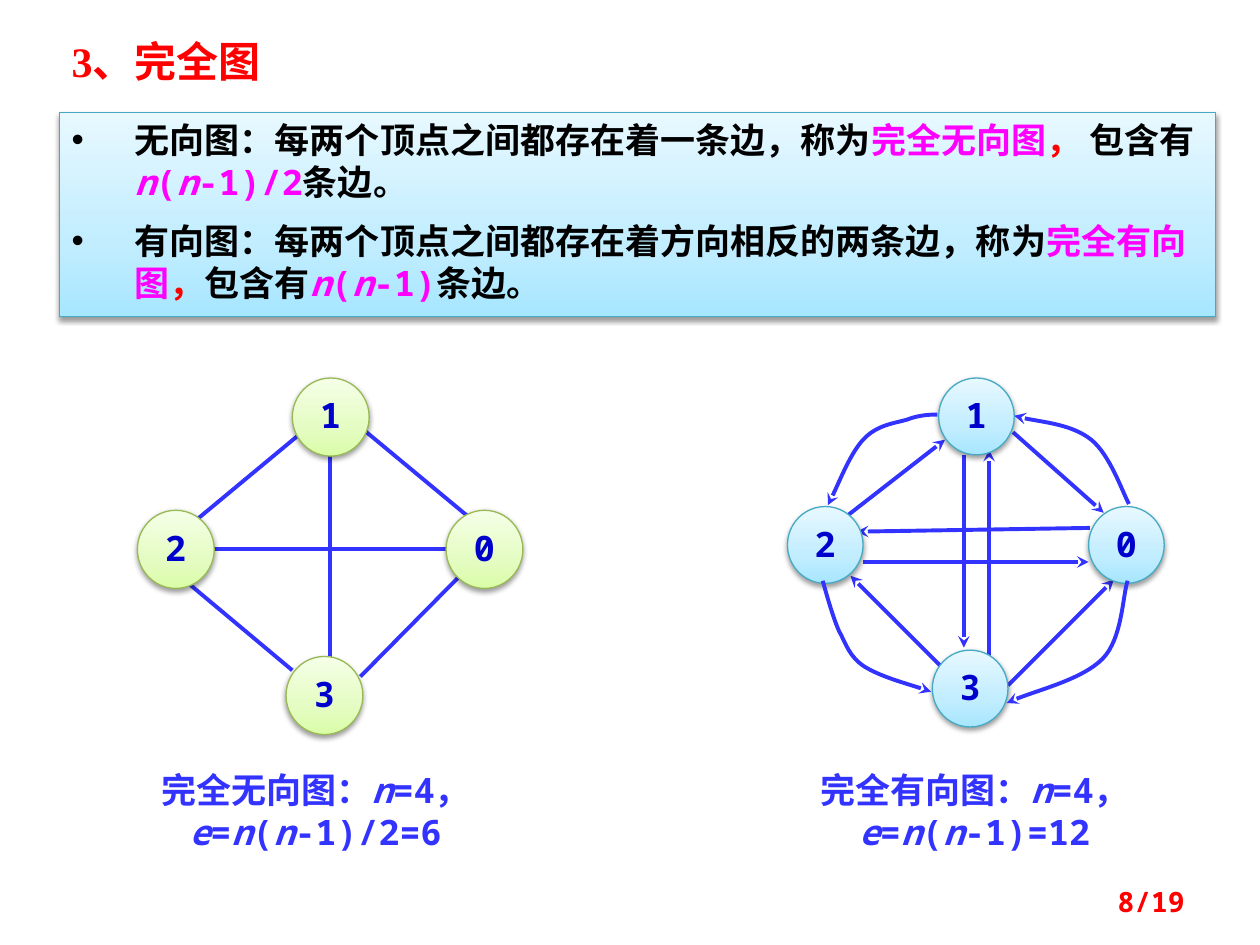
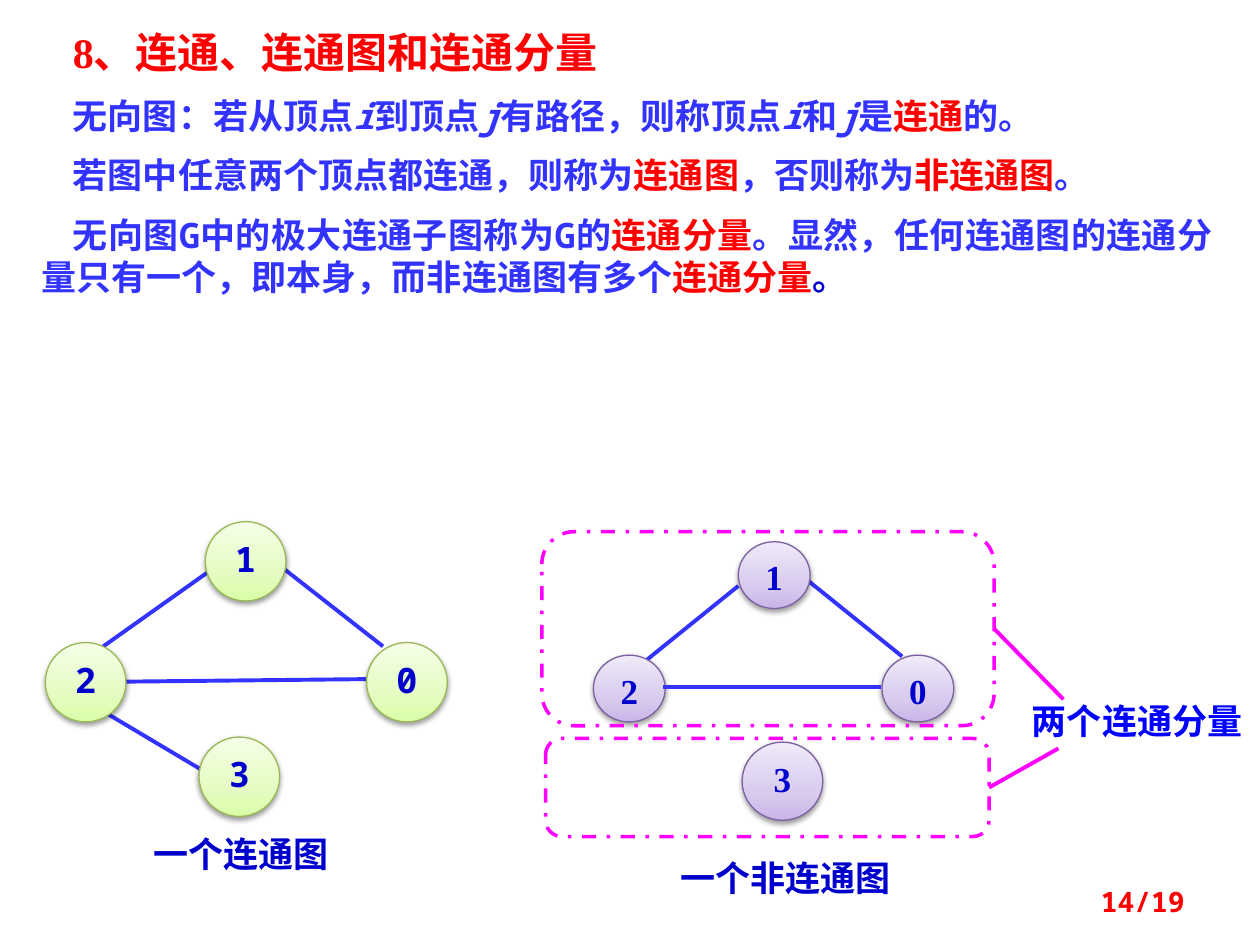
from copy import deepcopy
from itertools import groupby

from lxml.etree import SubElement
from pptx import Presentation
from pptx.dml.color import RGBColor
from pptx.enum.dml import MSO_LINE
from pptx.enum.shapes import MSO_CONNECTOR, MSO_SHAPE
from pptx.enum.text import MSO_ANCHOR, PP_ALIGN
from pptx.oxml.ns import qn
from pptx.util import Inches, Pt

# Colours and fonts
RED = RGBColor(0xFF, 0x00, 0x00)
MAGENTA = RGBColor(0xFF, 0x00, 0xFF)
BLACK = RGBColor(0x00, 0x00, 0x00)
BLUE = RGBColor(0x33, 0x33, 0xFF)
DARK_BLUE = RGBColor(0x00, 0x00, 0xCC)
PURE_BLUE = RGBColor(0x00, 0x00, 0xFF)
MONO = "Noto Sans Mono"
SERIF = "Times New Roman"

# Gradients: colours from bottom to top, then the outline
STOP_POSITIONS = (0, 0.35, 1)
CYAN_STYLE = (("A7E6FF", "C1EDFF", "E7F8FF"), "46AAC5")
GREEN_STYLE = (("DAFDA7", "E4FCC2", "F5FFE7"), "98B955")
PURPLE_STYLE = (("C9B5E8", "D8CBEE", "F0EAF9"), "7D60A0")


def inches(*lengths):
    return [Inches(length) for length in lengths]


# Text
def formula(text, color=None):
    """Split a formula into spans, with its letters in italics."""
    return [("".join(part), color, italic)
            for italic, part in groupby(text, str.isalpha)]


def write(paragraph, spans, size=20, font=MONO, color=BLUE,
          align=PP_ALIGN.LEFT, bold=True):
    """Fill a paragraph with plain strings or (text, color, italic) spans."""
    paragraph.alignment = align
    paragraph.font.size = Pt(size)
    paragraph.font.name = font
    paragraph.font.bold = bold
    paragraph.font.color.rgb = color
    for span in spans:
        text, span_color, italic = span if isinstance(span, tuple) else (span, None, False)
        run = paragraph.add_run()
        run.text = text
        if span_color is not None:
            run.font.color.rgb = span_color
        if italic:
            run.font.italic = True


def paragraphs(frame, count, gap=0):
    """Return the given number of paragraphs, with a gap between them."""
    items = [frame.paragraphs[0]] + [frame.add_paragraph() for _ in range(count - 1)]
    for paragraph in items[1:]:
        paragraph.space_before = Pt(gap)
    return items


def add_text(page, at, lines, **style):
    box = page.shapes.add_textbox(*inches(*at))
    box.text_frame.word_wrap = True
    for paragraph, spans in zip(paragraphs(box.text_frame, len(lines)), lines):
        write(paragraph, spans, **style)
    return box


def add_page_number(page, text):
    box = add_text(page, (7.17, 6.95, 2.33, 0.4), [[text]], size=16,
                   color=RED, align=PP_ALIGN.RIGHT)
    box.text_frame.vertical_anchor = MSO_ANCHOR.MIDDLE


def set_indent(paragraph, left, first):
    properties = paragraph._p.get_or_add_pPr()
    properties.set("marL", str(Inches(left)))
    properties.set("indent", str(Inches(first)))
    return properties


def set_bullet(paragraph):
    properties = set_indent(paragraph, 0.5, -0.5)
    SubElement(properties, qn("a:buFont"), typeface="Arial")
    SubElement(properties, qn("a:buChar"), char="•")


# Shapes
def add_glossy_shape(page, kind, at, style):
    """Add a shape with a three-stop gradient and a soft shadow below."""
    colors, outline = style
    shape = page.shapes.add_shape(kind, *inches(*at))
    shape.fill.gradient()
    shape.fill.gradient_angle = 90
    stop_list = shape._element.spPr.find(".//" + qn("a:gsLst"))
    stop_list.insert(1, deepcopy(stop_list[0]))
    for stop, position, color in zip(shape.fill.gradient_stops, STOP_POSITIONS, colors):
        stop.position = position
        stop.color.rgb = RGBColor.from_string(color)
    shape.line.color.rgb = RGBColor.from_string(outline)
    shape.line.width = Pt(0.75)
    shape.shadow.inherit = False
    effects = shape._element.spPr.find(qn("a:effectLst"))
    shadow = SubElement(effects, qn("a:outerShdw"), blurRad=str(Pt(3.1)),
                        dist=str(Pt(1.6)), dir="5400000", rotWithShape="0")
    shadow_color = SubElement(shadow, qn("a:srgbClr"), val="000000")
    SubElement(shadow_color, qn("a:alpha"), val="38000")
    shape.text_frame.vertical_anchor = MSO_ANCHOR.TOP
    return shape


def add_node(page, label, at, style, font=MONO):
    node = add_glossy_shape(page, MSO_SHAPE.OVAL, at, style)
    frame = node.text_frame
    frame.margin_left = frame.margin_right = frame.margin_bottom = 0
    frame.margin_top = Inches(0.12)
    paragraph = frame.paragraphs[0]
    paragraph.line_spacing = 0.72
    write(paragraph, [label], font=font, color=DARK_BLUE, align=PP_ALIGN.CENTER)


def add_nodes(page, places, size, style, font=MONO):
    for label, (left, top) in places.items():
        add_node(page, label, (left, top, *size), style, font)


def add_dashed_frame(page, at):
    frame = page.shapes.add_shape(MSO_SHAPE.ROUNDED_RECTANGLE, *inches(*at))
    frame.shadow.inherit = False
    frame.fill.background()
    frame.line.color.rgb = MAGENTA
    frame.line.width = Pt(2)
    frame.line.dash_style = MSO_LINE.DASH_DOT
    return frame


# Edges
def style_edge(line, color, arrow):
    line.color.rgb = color
    line.width = Pt(2.25)
    if arrow:
        SubElement(line._get_or_add_ln(), qn("a:tailEnd"), type="stealth")


def add_edge(page, ends, color=BLUE, arrow=False):
    edge = page.shapes.add_connector(MSO_CONNECTOR.STRAIGHT, *inches(*ends))
    style_edge(edge.line, color, arrow)
    SubElement(edge._element.spPr, qn("a:effectLst"))
    return edge


def add_curved_arrow(page, start, controls):
    """Draw Bezier curves; every three control points make one curve."""
    builder = page.shapes.build_freeform(*inches(*start))
    builder.add_line_segments([inches(*point) for point in controls], close=False)
    arrow = builder.convert_to_shape()
    outline = arrow._element.spPr.find(".//" + qn("a:path"))
    segments = outline.findall(qn("a:lnTo"))
    for first in range(0, len(segments), 3):
        curve = SubElement(outline, qn("a:cubicBezTo"))
        for segment in segments[first:first + 3]:
            curve.append(segment[0])
            outline.remove(segment)
    arrow.fill.background()
    arrow.shadow.inherit = False
    style_edge(arrow.line, BLUE, True)


# Slide: complete graphs
def build_complete_graphs(page):
    add_text(page, (0.47, 0.23, 2.34, 0.5), [["3、完全图"]],
             size=24, font=SERIF, color=RED)

    # Definitions
    panel = add_glossy_shape(page, MSO_SHAPE.RECTANGLE, (0.47, 0.89, 9.18, 1.62), CYAN_STYLE)
    definitions = [
        ["无向图：每两个顶点之间都存在着一条边，称为", ("完全无向图", MAGENTA, False),
         ("， ", RED, False), "包含有", *formula("n(n-1)/2", MAGENTA), "条边。"],
        ["有向图：每两个顶点之间都存在着方向相反的两条边，称为", ("完全有向图", MAGENTA, False),
         ("，", RED, False), "包含有", *formula("n(n-1)", MAGENTA), "条边。"],
    ]
    for paragraph, spans in zip(paragraphs(panel.text_frame, 2, gap=10), definitions):
        set_bullet(paragraph)
        write(paragraph, spans, color=BLACK)

    # Undirected graph
    for ends in [(2.41, 3.42, 1.47, 4.2), (1.4, 4.55, 2.32, 5.32),
                 (2.86, 5.37, 3.68, 4.54), (2.8, 3.34, 3.74, 4.12),
                 (1.4, 4.36, 3.85, 4.36), (2.62, 3.61, 2.62, 5.48)]:
        add_edge(page, ends)
    add_nodes(page, {"1": (2.32, 3), "0": (3.54, 4.05), "2": (1.09, 4.05), "3": (2.27, 5.21)},
              (0.61, 0.62), GREEN_STYLE)

    # Directed graph
    for ends in [(7.65, 3.61, 7.65, 5.14), (7.85, 5.4, 7.85, 3.57),
                 (8.65, 4.19, 6.8, 4.22), (6.85, 4.46, 8.64, 4.46),
                 (7.62, 5.44, 6.75, 4.57), (8, 5.44, 8.84, 4.6),
                 (8.04, 3.43, 8.76, 4.07), (6.69, 4.12, 7.5, 3.49)]:
        add_edge(page, ends, arrow=True)
    add_nodes(page, {"1": (7.45, 3), "0": (8.64, 4.02), "2": (6.25, 4.02), "3": (7.4, 5.16)},
              (0.6, 0.61), CYAN_STYLE)
    add_curved_arrow(page, (8.95, 4.61), [
        (8.91, 4.72), (8.91, 5.07), (8.75, 5.23), (8.59, 5.39), (8.15, 5.5), (7.99, 5.58)])
    add_curved_arrow(page, (7.44, 3.29), [
        (7.4, 3.29), (7.3, 3.29), (7.2, 3.33), (7.1, 3.36), (6.96, 3.37), (6.85, 3.49),
        (6.75, 3.6), (6.63, 3.9), (6.57, 4.01)])
    add_curved_arrow(page, (6.53, 4.61), [
        (6.55, 4.68), (6.61, 4.9), (6.66, 5.01), (6.72, 5.12), (6.74, 5.21), (6.86, 5.29),
        (6.99, 5.37), (7.28, 5.45), (7.39, 5.49)])
    add_curved_arrow(page, (8.96, 4), [
        (8.91, 3.91), (8.81, 3.61), (8.66, 3.49), (8.51, 3.37), (8.18, 3.34), (8.05, 3.3)])

    # Captions
    for left, name, edge_count in [(1.02, "完全无向图：", "e=n(n-1)/2=6"),
                                   (6.25, "完全有向图：", "e=n(n-1)=12")]:
        add_text(page, (left, 6.05, 2.97, 0.77),
                 [[name, *formula("n=4，")], formula(edge_count)], align=PP_ALIGN.CENTER)
    add_page_number(page, "8/19")


# Slide: connected graphs and components
def build_connected_graphs(page):
    box = page.shapes.add_textbox(*inches(0.23, 0.16, 9.49, 2.36))
    box.text_frame.word_wrap = True
    title, *body = paragraphs(box.text_frame, 4, gap=10)
    write(title, ["8、连通、连通图和连通分量"], size=24, font=SERIF, color=RED,
          align=PP_ALIGN.JUSTIFY)
    definitions = [
        ["无向图：若从顶点", *formula("i"), "到顶点", *formula("j"), "有路径，则称顶点",
         *formula("i"), "和", *formula("j"), "是", ("连通", RED, False), "的。"],
        ["若图中任意两个顶点都连通，则称为", ("连通图", RED, False), "，否则称为",
         ("非连通图", RED, False), "。"],
        ["无向图G中的极大连通子图称为G的", ("连通分量", RED, False),
         "。显然，任何连通图的连通分量只有一个，即本身，而非连通图有多个",
         ("连通分量", RED, False), ("。", DARK_BLUE, False)],
    ]
    for paragraph, spans in zip(body, definitions):
        write(paragraph, spans, align=PP_ALIGN.JUSTIFY)
    for paragraph in (title, *body):
        set_indent(paragraph, 0, 0.25)

    # Connected graph
    for ends in [(0.82, 5.13, 1.68, 4.52), (0.81, 5.64, 1.6, 6.11),
                 (2.91, 5.39, 1, 5.41), (2.26, 4.52, 3.04, 5.13)]:
        add_edge(page, ends)
    add_nodes(page, {"1": (1.63, 4.14), "0": (2.91, 5.1), "2": (0.36, 5.1), "3": (1.58, 5.85)},
              (0.64, 0.63), GREEN_STYLE)

    # Graph with two components
    for ends in [(7.16, 5.21, 6.39, 4.59), (5.86, 4.65, 5.08, 5.28)]:
        add_edge(page, ends)
    add_nodes(page, {"1": (5.86, 4.3), "0": (7, 5.2), "2": (4.71, 5.2)},
              (0.57, 0.53), PURPLE_STYLE, SERIF)
    add_edge(page, (5.26, 5.45, 6.99, 5.45))
    add_node(page, "3", (5.89, 5.89, 0.64, 0.62), PURPLE_STYLE, SERIF)

    # Component frames with their pointers
    for at, end in [((4.3, 4.22, 3.59, 1.54), (8.44, 5.55)),
                    ((4.33, 5.86, 3.52, 0.78), (8.4, 5.94))]:
        frame = add_dashed_frame(page, at)
        pointer = add_edge(page, (*at[:2], *end), color=MAGENTA)
        pointer.begin_connect(frame, 3)

    # Captions
    for left, top, caption, font, color in [
            (0.94, 6.56, "一个连通图", MONO, DARK_BLUE),
            (5.26, 6.75, "一个非连通图", SERIF, DARK_BLUE),
            (8.05, 5.5, "两个连通分量", MONO, PURE_BLUE)]:
        add_text(page, (left, top, 1.95, 0.44), [[caption]], font=font, color=color,
                 align=PP_ALIGN.CENTER)
    add_page_number(page, "14/19")


def main():
    deck = Presentation()
    deck.slide_width, deck.slide_height = inches(10, 7.5)
    blank = deck.slide_layouts[6]
    for build in (build_complete_graphs, build_connected_graphs):
        build(deck.slides.add_slide(blank))
    deck.save("out.pptx")


if __name__ == "__main__":
    main()
